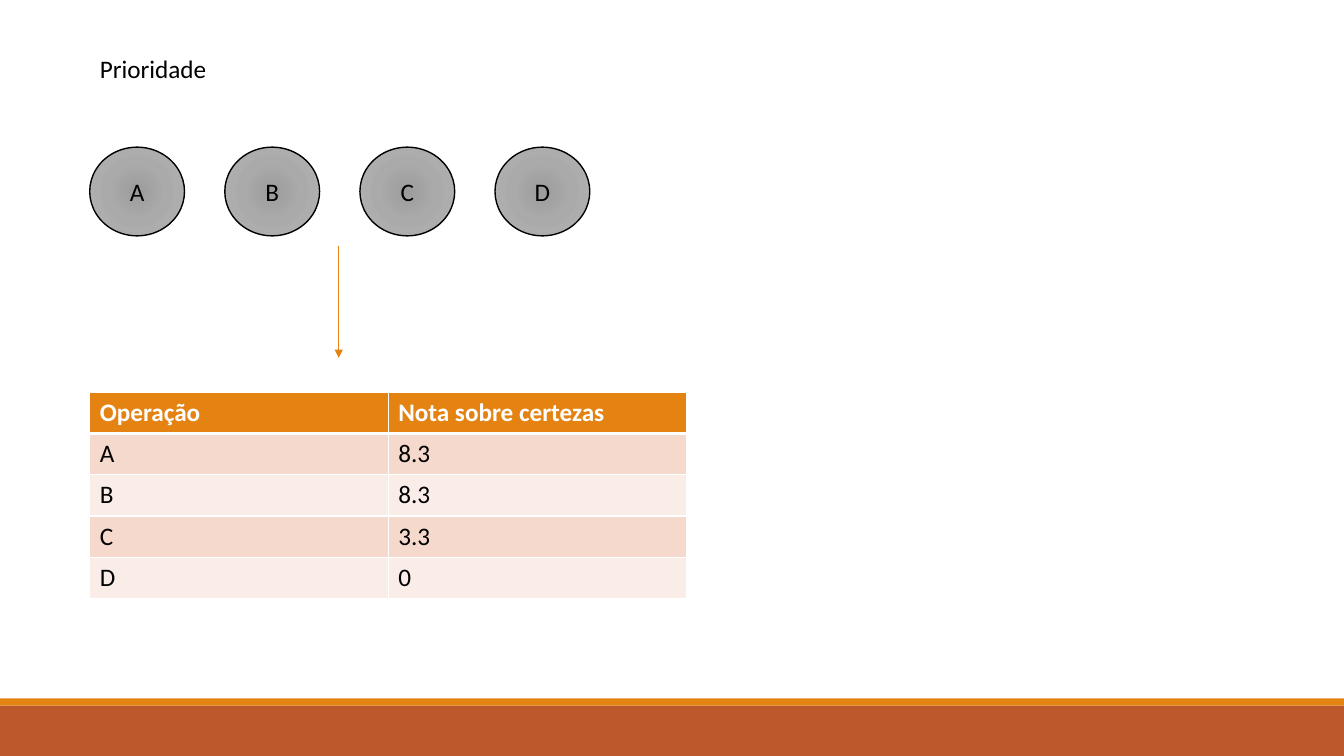
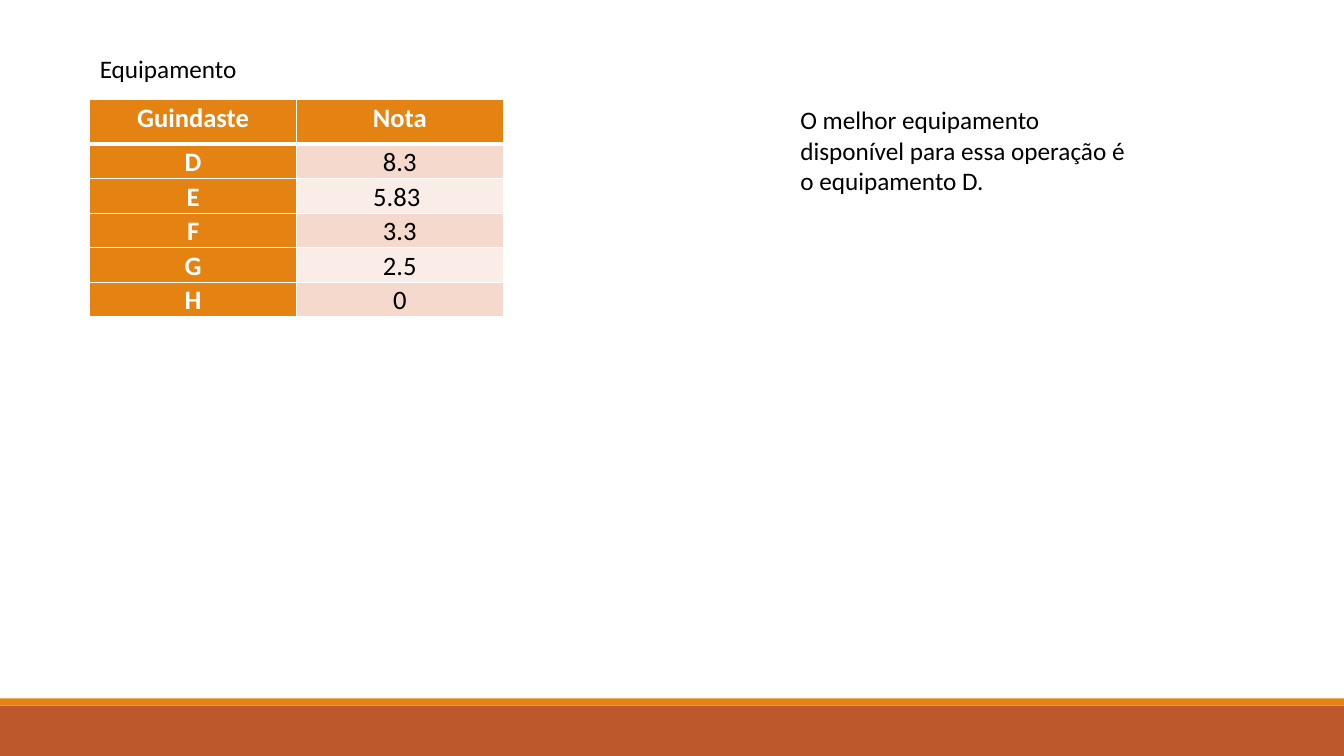
"""Builds two slides on operation priority and equipment choice."""
from dataclasses import dataclass

from lxml import etree
from pptx import Presentation
from pptx.dml.color import RGBColor
from pptx.enum import shapes, text
from pptx.oxml import parse_xml
from pptx.oxml.ns import nsdecls, qn
from pptx.util import Inches, Pt

FONT = "Calibri"
BODY_SIZE = 18
BLACK = RGBColor(0x00, 0x00, 0x00)
WHITE = RGBColor(0xFF, 0xFF, 0xFF)
ORANGE = RGBColor(0xE4, 0x83, 0x12)
RUST = RGBColor(0xBD, 0x58, 0x2C)
ROW_TINTS = (RGBColor(0xF5, 0xD9, 0xCC), RGBColor(0xFA, 0xED, 0xE7))
CIRCLE_STOPS = (
    (0, RGBColor(0x9C, 0x9C, 0x9C)),
    (45, RGBColor(0xAA, 0xAA, 0xAA)),
    (100, RGBColor(0xB4, 0xB4, 0xB4)),
)
SLIDE_WIDTH, SLIDE_HEIGHT = 13.33, 7.5
LEFT = 0.89
TITLE_ONLY = 5


@dataclass(frozen=True)
class Band:
    top: float
    height: float
    color: RGBColor


@dataclass(frozen=True)
class TableStyle:
    top: float
    column_width: float
    header_height: float
    row_height: float
    size: int = BODY_SIZE
    compact: bool = False
    label_column: bool = False


BANDS = (Band(7, 0.5, RUST), Band(6.93, 0.07, ORANGE))
PRIORITY_STYLE = TableStyle(3.89, 2.96, 0.41, 0.41)
EQUIPMENT_STYLE = TableStyle(0.99, 2.05, 0.44, 0.3, 19, True, True)
PRIORITY_ROWS = (
    ("Operação", "Nota sobre certezas"),
    ("A", "8.3"),
    ("B", "8.3"),
    ("C", "3.3"),
    ("D", "0"),
)
EQUIPMENT_ROWS = (
    ("Guindaste", "Nota"),
    ("D", "8.3"),
    ("E", "5.83 "),
    ("F", "3.3"),
    ("G", "2.5"),
    ("H", "0"),
)


def write(frame, content: str, size: int = BODY_SIZE, color: RGBColor = BLACK,
          bold: bool = False, align=text.PP_ALIGN.LEFT) -> None:
    """Set one paragraph of text and format it."""
    frame.text = content
    paragraph = frame.paragraphs[0]
    paragraph.alignment = align
    for run in paragraph.runs:
        run.font.name = FONT
        run.font.size = Pt(size)
        run.font.bold = bold
        run.font.color.rgb = color


def add_bands(slide) -> None:
    """Place the bottom bands on the layout of the slide."""
    layout_tree = slide.slide_layout.shapes.element
    for band in BANDS:
        shape = slide.shapes.add_shape(
            shapes.MSO_SHAPE.RECTANGLE, Inches(0), Inches(band.top),
            Inches(SLIDE_WIDTH), Inches(band.height))
        shape.shadow.inherit = False
        shape.fill.solid()
        shape.fill.fore_color.rgb = band.color
        shape.line.fill.background()
        layout_tree.append(shape.element)


def add_titled_slide(presentation, heading: str):
    """Add a slide with its heading in the title placeholder."""
    slide = presentation.slides.add_slide(presentation.slide_layouts[TITLE_ONLY])
    title = slide.shapes.title
    title.left, title.top = Inches(LEFT), Inches(0.48)
    title.width, title.height = Inches(8.1), Inches(0.4)
    write(title.text_frame, heading)
    title.text_frame.vertical_anchor = text.MSO_ANCHOR.TOP
    title.text_frame.auto_size = text.MSO_AUTO_SIZE.NONE
    return slide


def fill_radial(shape) -> None:
    """Give the shape the grey radial gradient."""
    shape.fill.gradient()
    stops = "".join(
        f'<a:gs pos="{position * 1000}"><a:srgbClr val="{color}"/></a:gs>'
        for position, color in CIRCLE_STOPS)
    gradient = parse_xml(
        f'<a:gradFill {nsdecls("a")} rotWithShape="1"><a:gsLst>{stops}</a:gsLst>'
        '<a:path path="circle"><a:fillToRect l="100000" t="100000" r="100000" '
        'b="100000"/></a:path></a:gradFill>')
    properties = shape.element.spPr
    properties.replace(properties.find(qn("a:gradFill")), gradient)


def add_circle(slide, label: str, left: float) -> None:
    """Add one lettered operation circle."""
    circle = slide.shapes.add_shape(
        shapes.MSO_SHAPE.OVAL, Inches(left), Inches(1.46), Inches(0.94), Inches(0.88))
    circle.shadow.inherit = False
    fill_radial(circle)
    circle.line.color.rgb = BLACK
    circle.line.width = Pt(1)
    write(circle.text_frame, label, align=text.PP_ALIGN.CENTER)
    circle.text_frame.vertical_anchor = text.MSO_ANCHOR.MIDDLE


def add_down_arrow(slide, x: float, top: float, bottom: float) -> None:
    """Add a vertical arrow pointing down."""
    arrow = slide.shapes.add_connector(
        shapes.MSO_CONNECTOR.STRAIGHT, Inches(x), Inches(top), Inches(x), Inches(bottom))
    arrow.line.color.rgb = ORANGE
    arrow.line.width = Pt(1)
    line = arrow.element.spPr.find(qn("a:ln"))
    etree.SubElement(line, qn("a:tailEnd"), type="triangle")
    etree.SubElement(arrow.element.spPr, qn("a:effectLst"))


def set_borders(cell, top: int, bottom: int) -> None:
    """Draw white cell borders ahead of the cell fill."""
    properties = cell._tc.get_or_add_tcPr()
    widths = (("L", 1), ("R", 1), ("T", top), ("B", bottom))
    for index, (side, width) in enumerate(widths):
        properties.insert(index, parse_xml(
            f'<a:ln{side} {nsdecls("a")} w="{Pt(width)}"><a:solidFill>'
            f'<a:srgbClr val="{WHITE}"/></a:solidFill></a:ln{side}>'))


def add_score_table(slide, rows: tuple, style: TableStyle) -> None:
    """Add a score table with an orange header and tinted rows."""
    columns = len(rows[0])
    height = style.header_height + style.row_height * (len(rows) - 1)
    table = slide.shapes.add_table(
        len(rows), columns, Inches(LEFT), Inches(style.top),
        Inches(style.column_width * columns), Inches(height)).table
    for row_index, values in enumerate(rows):
        is_header = row_index == 0
        table.rows[row_index].height = Inches(
            style.header_height if is_header else style.row_height)
        for column_index, value in enumerate(values):
            cell = table.cell(row_index, column_index)
            strong = is_header or (style.label_column and column_index == 0)
            cell.fill.solid()
            cell.fill.fore_color.rgb = ORANGE if strong else ROW_TINTS[(row_index - 1) % 2]
            set_borders(cell, 3 if row_index == 1 else 1, 3 if is_header else 1)
            align = text.PP_ALIGN.CENTER if style.compact else text.PP_ALIGN.LEFT
            write(cell.text_frame, value, style.size, WHITE if strong else BLACK, strong, align)
            if style.compact:
                cell.margin_left = cell.margin_right = Inches(0.14)
                cell.margin_top = cell.margin_bottom = Inches(0)
                paragraph = cell.text_frame.paragraphs[0]
                paragraph.line_spacing = 1.07
                paragraph.space_after = Pt(8)


def build_priority(presentation) -> None:
    """Build the priority slide and the shared bands."""
    slide = add_titled_slide(presentation, "Prioridade")
    add_bands(slide)
    for index, label in enumerate("ABCD"):
        add_circle(slide, label, LEFT + 1.34 * index)
    add_down_arrow(slide, 3.36, 2.44, 3.55)
    add_score_table(slide, PRIORITY_ROWS, PRIORITY_STYLE)


def build_equipment(presentation) -> None:
    """Build the equipment slide."""
    slide = add_titled_slide(presentation, "Equipamento")
    add_score_table(slide, EQUIPMENT_ROWS, EQUIPMENT_STYLE)
    conclusion = slide.shapes.add_textbox(
        Inches(7.84), Inches(0.99), Inches(3.6), Inches(1.01))
    conclusion.text_frame.word_wrap = True
    write(conclusion.text_frame,
          "O melhor equipamento disponível para essa operação é o equipamento D.")


def main() -> None:
    """Build and save the presentation."""
    presentation = Presentation()
    presentation.slide_width = Inches(SLIDE_WIDTH)
    presentation.slide_height = Inches(SLIDE_HEIGHT)
    build_priority(presentation)
    build_equipment(presentation)
    presentation.save("out.pptx")


if __name__ == "__main__":
    main()
